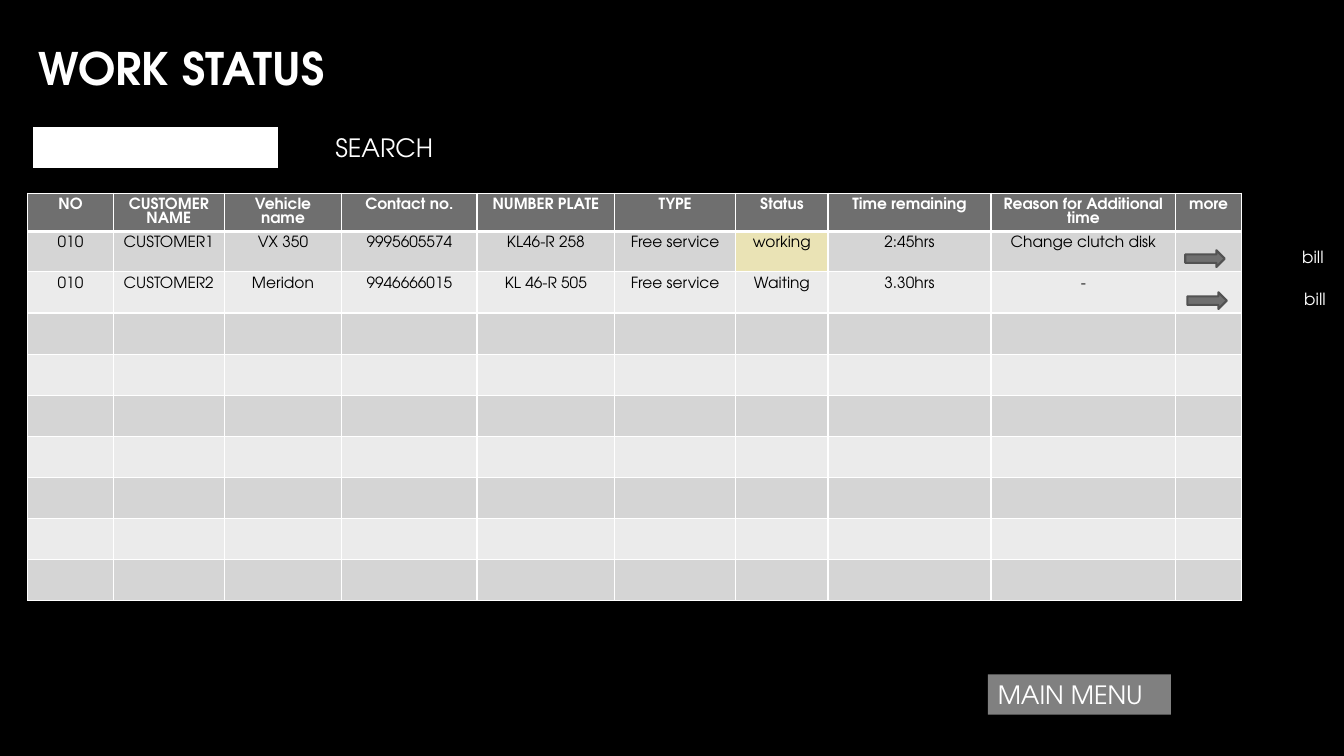
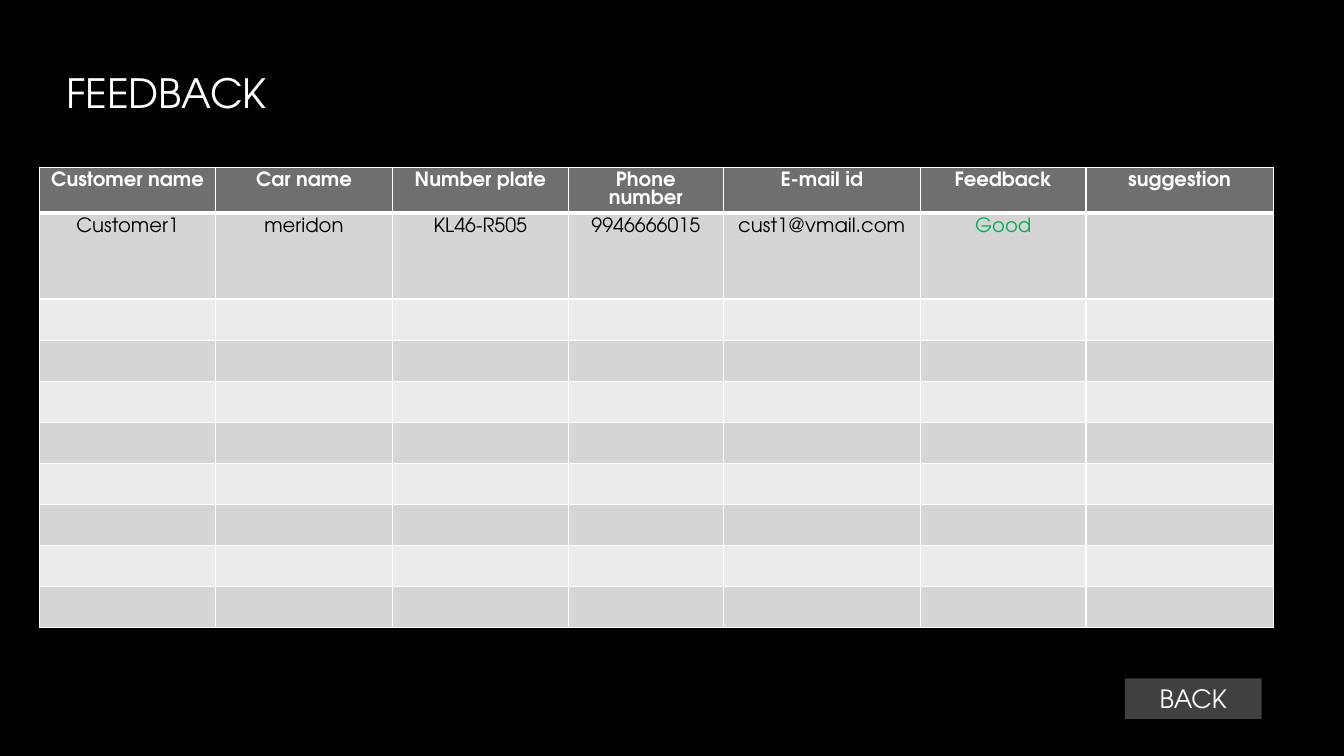
from lxml import etree
from pptx import Presentation
from pptx import util as u
from pptx.dml import color
from pptx.enum import shapes, text
from pptx.oxml import ns

HUE = {
    "black": "000000", "white": "FFFFFF", "head": "6F6F6F", "edge": "525252",
    "odd": "D5D5D5", "even": "EBEBEB", "work": "EAE3B5", "good": "00B050",
    "menu": "808080", "back": "404040",
}
FONT = "TeX Gyre Adventor"
UNIT = u.Inches(13.33) / 160
LEFT, MID = text.PP_ALIGN.LEFT, text.PP_ALIGN.CENTER
RECT, ARROW = shapes.MSO_SHAPE.RECTANGLE, shapes.MSO_SHAPE.RIGHT_ARROW


def grid(*cells):
    return [u.Emu(round(n * UNIT)) for n in cells]


def rgb(name):
    return color.RGBColor.from_string(HUE[name])


def write(para, words, size, hue="white", bold=False, align=MID):
    para.alignment = align
    if words:
        run = para.add_run()
        run.text = words
        font = run.font
        font.name, font.size, font.bold = FONT, u.Pt(size), bold
        font.color.rgb = rgb(hue)


def title(slide, box, words, size, bold=False):
    frame = slide.shapes.add_textbox(*grid(*box)).text_frame
    frame.word_wrap = True
    frame.vertical_anchor = text.MSO_ANCHOR.MIDDLE
    write(frame.paragraphs[0], words, size, bold=bold, align=LEFT)


def block(slide, box, fill, words="", size=18, align=MID, kind=RECT, line=None, width=1.5):
    shape = slide.shapes.add_shape(kind, *grid(*box))
    shape.shadow.inherit = False
    shape.fill.solid()
    shape.fill.fore_color.rgb = rgb(fill)
    if line:
        shape.line.color.rgb = rgb(line)
        shape.line.width = u.Pt(width)
    else:
        shape.line.fill.background()
    frame = shape.text_frame
    frame.word_wrap = True
    frame.vertical_anchor = text.MSO_ANCHOR.MIDDLE
    write(frame.paragraphs[0], words, size, align=align)


def border(cell, row):
    props = cell._tc.get_or_add_tcPr()
    for spot, side in enumerate(("lnL", "lnR", "lnT", "lnB")):
        thick = (row, side) in ((0, "lnB"), (1, "lnT"))
        line = etree.Element(ns.qn(f"a:{side}"), w=str(u.Pt(3 if thick else 1)))
        fill = etree.SubElement(line, ns.qn("a:solidFill"))
        etree.SubElement(fill, ns.qn("a:srgbClr"), val=HUE["white"])
        props.insert(spot, line)


def table(slide, spot, cols, rows, data, size, fills={}, inks={}):
    box = grid(*spot, sum(cols), sum(rows))
    tab = slide.shapes.add_table(len(rows), len(cols), *box).table
    for col, wide in zip(tab.columns, grid(*cols)):
        col.width = wide
    for r, high in enumerate(grid(*rows)):
        tab.rows[r].height = high
        band = "head" if r == 0 else "odd" if r % 2 else "even"
        for c in range(len(cols)):
            cell = tab.cell(r, c)
            cell.fill.solid()
            cell.fill.fore_color.rgb = rgb(fills.get((r, c), band))
            border(cell, r)
            words = data[r][c] if r < len(data) else ""
            para = cell.text_frame.paragraphs[0]
            para.line_spacing = u.Pt(round(size * 0.92, 1))
            ink = inks.get((r, c), "black" if r else "white")
            write(para, words, size, ink, r == 0)


def bill(slide, x, y):
    block(slide, (x + 12, y - 1, 6.4, 3.6), "black", "bill", 12, line="black", width=0.75)
    block(slide, (x, y, 4.7, 2), "head", kind=ARROW, line="edge")


def search(slide, x, y):
    block(slide, (x, y, 29.4, 5.2), "white", line="black")
    block(slide, (x + 31.8, y, 20.3, 5.2), "black", "SEARCH")


def page(deck):
    slide = deck.slides.add_slide(deck.slide_layouts[6])
    fill = slide.background.fill
    fill.solid()
    fill.fore_color.rgb = rgb("black")
    return slide


def status(deck):
    slide = page(deck)
    title(slide, (3.4, 1.2, 53.8, 13.7), "WORK STATUS", 32, True)
    search(slide, 3.8, 15)
    data = [
        ("NO", "CUSTOMER NAME", "Vehicle name", "Contact no.", "NUMBER PLATE", "TYPE",
         "Status", "Time remaining", "Reason for Additional time", "more"),
        ("010", "CUSTOMER1", "VX 350", "9995605574", "KL46-R 258", "Free service",
         "working", "2:45hrs", "Change clutch disk", ""),
        ("010", "CUSTOMER2", "Meridon", "9946666015", "KL 46-R 505", "Free service",
         "Waiting", "3.30hrs", "-", ""),
    ]
    cols = (10.2, 13.2, 14, 16.1, 16.4, 14.4, 11, 19.4, 22, 7.8)
    table(slide, (3.3, 23), cols, [4.5, 4.4] + [4.9] * 8, data, 11, fills={(1, 6): "work"})
    for n in range(2):
        bill(slide, 141.1 + 0.25 * n, 29.8 + 5 * n)
    block(slide, (117.6, 80.3, 21.8, 4.8), "menu", "MAIN MENU", align=LEFT)


def review(deck):
    slide = page(deck)
    title(slide, (6.7, 7.7, 28.7, 6.7), "FEEDBACK", 28.8)
    data = [
        ("Customer name", "Car name", "Number plate", "Phone number", "E-mail id",
         "Feedback", "suggestion"),
        ("Customer1", "meridon", "KL46-R505", "9946666015", "cust1@vmail.com", "Good", ""),
    ]
    cols = (21, 21, 21, 18.4, 23.5, 19.7, 22.3)
    table(slide, (4.7, 19.9), cols, [5.5, 10.2] + [4.9] * 8, data, 14, inks={(1, 5): "good"})
    block(slide, (133.9, 80.8, 16.3, 4.8), "back", "BACK")


def main():
    deck = Presentation()
    deck.slide_width, deck.slide_height = u.Inches(13.33), u.Inches(7.5)
    status(deck)
    review(deck)
    deck.save("out.pptx")


if __name__ == "__main__":
    main()
